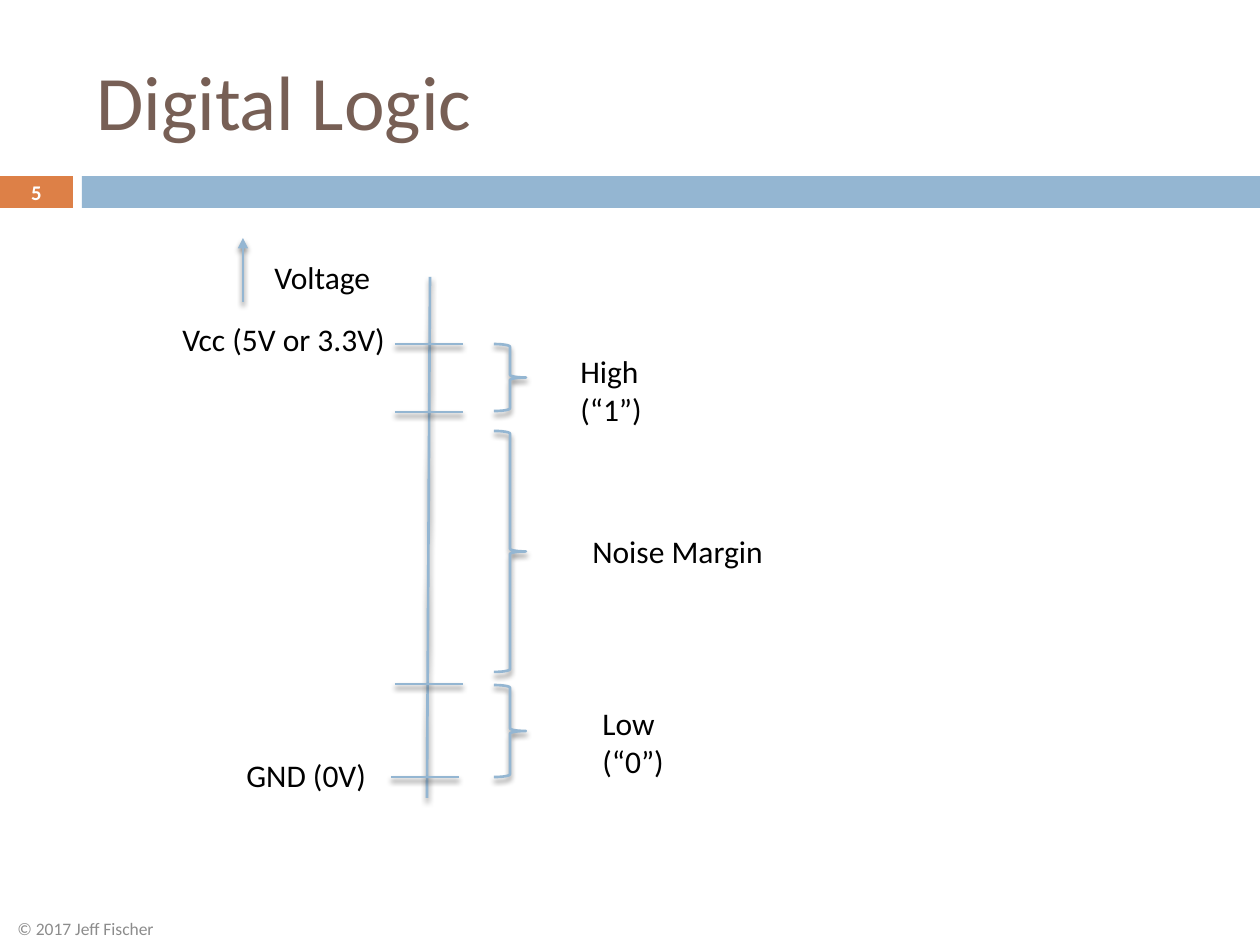
from dataclasses import dataclass

from lxml import etree
from pptx import Presentation
from pptx import util as u
from pptx.dml.color import RGBColor
from pptx.enum import shapes, text
from pptx.oxml import ns

EMU_PER_PX = 914400 / 126


@dataclass(frozen=True)
class Theme:
    font: str = "Calibri"
    accent: str = "94B6D2"
    badge: str = "DD8047"
    title: str = "775F55"
    ink: str = "000000"
    footer: str = "8C8C8C"
    white: str = "FFFFFF"
    shadow: str = "000000"
    title_size: float = 44
    label_size: float = 18
    number_size: float = 11.9
    footer_size: float = 10
    line_width: float = 1.5


@dataclass(frozen=True)
class Box:
    left: int
    top: int
    width: int
    height: int

    def emu(self) -> list[u.Emu]:
        return [px(n) for n in (self.left, self.top, self.width, self.height)]


@dataclass(frozen=True)
class Label:
    words: str
    left: int
    top: int
    width: int
    height: int = 50


@dataclass(frozen=True)
class Line:
    x1: int
    y1: int
    x2: int
    y2: int
    arrow: bool = False


@dataclass(frozen=True)
class Range:
    """Span of voltages marked by a brace."""
    top: int
    bottom: int


THEME = Theme()
TICK_WIDTH = 68
BRACE_LEFT, BRACE_WIDTH = 494, 32

AXIS = Line(430, 277, 427, 798)
UP_ARROW = Line(243, 302, 243, 238, arrow=True)
TICKS = [Line(x, y, x + TICK_WIDTH, y)
         for x, y in ((395, 344), (395, 412), (395, 684), (391, 777))]
RANGES = [Range(344, 411), Range(431, 672), Range(685, 777)]
LABELS = [
    Label("Voltage", 262, 252, 126),
    Label("Vcc (5V or 3.3V)", 170, 314, 239),
    Label("GND (0V)", 234, 750, 154),
    Label("High\v(“1”)", 568, 346, 151, 88),
    Label("Noise Margin", 580, 526, 204),
    Label("Low\v(“0”)", 590, 698, 142, 88),
]


def px(length: int) -> u.Emu:
    return u.Emu(round(length * EMU_PER_PX))


def add_text(slide, words: str, box: Box, *, size: float, color: str,
             bold: bool = False, align=text.PP_ALIGN.LEFT,
             anchor=text.MSO_ANCHOR.TOP) -> None:
    frame = slide.shapes.add_textbox(*box.emu()).text_frame
    frame.word_wrap = True
    frame.vertical_anchor = anchor
    paragraph = frame.paragraphs[0]
    paragraph.text = words
    paragraph.alignment = align
    font = paragraph.font
    font.name, font.size, font.bold = THEME.font, u.Pt(size), bold
    font.color.rgb = RGBColor.from_string(color)


def add_bar(slide, box: Box, color: str) -> None:
    bar = slide.shapes.add_shape(shapes.MSO_SHAPE.RECTANGLE, *box.emu())
    bar.shadow.inherit = False
    bar.fill.solid()
    bar.fill.fore_color.rgb = RGBColor.from_string(color)
    bar.line.fill.background()


def style_stroke(item) -> None:
    """Give a line or brace the accent stroke and a soft shadow below it."""
    item.line.color.rgb = RGBColor.from_string(THEME.accent)
    item.line.width = u.Pt(THEME.line_width)
    effects = etree.SubElement(item._element.spPr, ns.qn("a:effectLst"))
    shadow = etree.SubElement(
        effects, ns.qn("a:outerShdw"), blurRad=str(u.Pt(3)),
        dist=str(u.Pt(2.4)), dir="5400000", rotWithShape="0")
    color = etree.SubElement(shadow, ns.qn("a:srgbClr"), val=THEME.shadow)
    etree.SubElement(color, ns.qn("a:alpha"), val="45000")


def add_line(slide, line: Line) -> None:
    connector = slide.shapes.add_connector(
        shapes.MSO_CONNECTOR.STRAIGHT,
        px(line.x1), px(line.y1), px(line.x2), px(line.y2))
    style_stroke(connector)
    if line.arrow:
        stroke = connector.line._get_or_add_ln()
        etree.SubElement(stroke, ns.qn("a:tailEnd"), type="triangle")


def add_brace(slide, span: Range) -> None:
    box = Box(BRACE_LEFT, span.top, BRACE_WIDTH, span.bottom - span.top)
    brace = slide.shapes.add_shape(shapes.MSO_SHAPE.RIGHT_BRACE, *box.emu())
    brace.fill.background()
    style_stroke(brace)


def add_page_frame(slide) -> None:
    """Add the title, the band with the page number, and the footer."""
    middle = text.MSO_ANCHOR.MIDDLE
    add_bar(slide, Box(0, 176, 73, 32), THEME.badge)
    add_bar(slide, Box(82, 176, 1178, 32), THEME.accent)
    add_text(slide, "Digital Logic", Box(84, 32, 1124, 136),
             size=THEME.title_size, color=THEME.title, anchor=middle)
    add_text(slide, "5", Box(0, 175, 73, 34), size=THEME.number_size,
             color=THEME.white, bold=True, align=text.PP_ALIGN.CENTER,
             anchor=middle)
    add_text(slide, "© 2017 Jeff Fischer", Box(5, 911, 563, 34),
             size=THEME.footer_size, color=THEME.footer, anchor=middle)


def main() -> None:
    deck = Presentation()
    deck.slide_width, deck.slide_height = px(1260), px(945)
    slide = deck.slides.add_slide(deck.slide_layouts[6])

    add_page_frame(slide)
    for line in (AXIS, UP_ARROW, *TICKS):
        add_line(slide, line)
    for span in RANGES:
        add_brace(slide, span)
    for label in LABELS:
        add_text(slide, label.words,
                 Box(label.left, label.top, label.width, label.height),
                 size=THEME.label_size, color=THEME.ink)

    deck.save("out.pptx")


if __name__ == "__main__":
    main()
